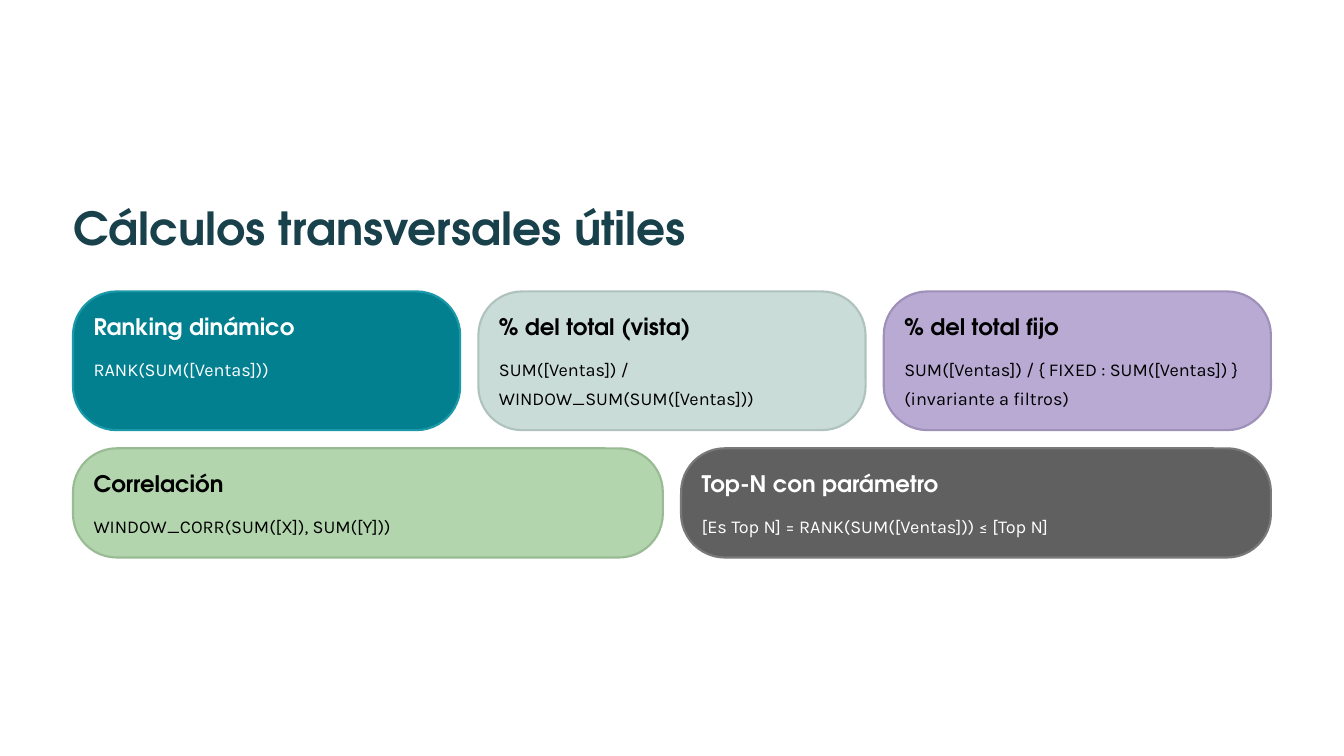
from dataclasses import dataclass

import pptx
import pptx.dml.color
import pptx.enum.shapes
import pptx.util

Pt = pptx.util.Pt


@dataclass(frozen=True)
class Theme:
    heading_font: str = "TeX Gyre Adventor"
    formula_font: str = "Karla"
    title_size: float = 39
    heading_size: float = 19.5
    formula_size: float = 15.5
    title: str = "19414B"
    light: str = "FFFFFF"
    dark: str = "000000"
    teal: tuple = ("028090", "1B99A9")
    mist: tuple = ("CADCD8", "B0C2BE")
    lilac: tuple = ("B9AAD4", "9F90BA")
    green: tuple = ("B2D5AD", "98BB93")
    gray: tuple = ("606060", "797979")


THEME = Theme()
LEFT, WIDTH, GAP = 62.6, 1026.8, 15.6
PADDING, FORMULA_TOP, RADIUS = 17.6, 51.1, 37.5

# Each row: top, height, cards as (heading, formula, (fill, line), ink)
ROWS = [
    (249.8, 118.9, [
        ("Ranking dinámico", "RANK(SUM([Ventas]))", THEME.teal, THEME.light),
        ("% del total (vista)", "SUM([Ventas]) / WINDOW_SUM(SUM([Ventas]))",
         THEME.mist, THEME.dark),
        ("% del total fijo",
         "SUM([Ventas]) / { FIXED : SUM([Ventas]) } (invariante a filtros)",
         THEME.lilac, THEME.dark),
    ]),
    (384.3, 93.6, [
        ("Correlación", "WINDOW_CORR(SUM([X]), SUM([Y]))", THEME.green, THEME.dark),
        ("Top-N con parámetro", "[Es Top N] = RANK(SUM([Ventas])) ≤ [Top N]",
         THEME.gray, THEME.light),
    ]),
]


def rgb(value):
    return pptx.dml.color.RGBColor.from_string(value)


def add_text(slide, box, text, font, size, color, leading, bold=False):
    frame = slide.shapes.add_textbox(*map(Pt, box)).text_frame
    frame.word_wrap = True
    frame.margin_left = frame.margin_top = frame.margin_right = frame.margin_bottom = 0
    paragraph = frame.paragraphs[0]
    paragraph.line_spacing = Pt(leading)
    run = paragraph.add_run()
    run.text = text
    run.font.name = font
    run.font.size = Pt(size)
    run.font.bold = bold
    run.font.color.rgb = rgb(color)


def add_card(slide, box, heading, formula, colors, ink):
    left, top, width, height = box
    panel = slide.shapes.add_shape(
        pptx.enum.shapes.MSO_SHAPE.ROUNDED_RECTANGLE, *map(Pt, box))
    panel.adjustments[0] = RADIUS / height
    panel.shadow.inherit = False
    fill, line = colors
    panel.fill.solid()
    panel.fill.fore_color.rgb = rgb(fill)
    panel.line.color.rgb = rgb(line)
    panel.line.width = Pt(1.8)

    inner_left, inner_width = left + PADDING, width - 2 * PADDING
    add_text(slide, (inner_left, top + PADDING, inner_width, 24.5), heading,
             THEME.heading_font, THEME.heading_size, ink, 24, bold=True)
    add_text(slide, (inner_left, top + FORMULA_TOP, inner_width,
                     height - FORMULA_TOP - PADDING), formula,
             THEME.formula_font, THEME.formula_size, ink, 25)


def add_card_row(slide, box, cards):
    """Share the width of the box equally among the cards."""
    left, top, width, height = box
    card_width = (width - GAP * (len(cards) - 1)) / len(cards)
    for column, card in enumerate(cards):
        card_left = left + column * (card_width + GAP)
        add_card(slide, (card_left, top, card_width, height), *card)


def main():
    deck = pptx.Presentation()
    deck.slide_width, deck.slide_height = Pt(1152), Pt(648)
    slide = deck.slides.add_slide(deck.slide_layouts[6])
    add_text(slide, (LEFT, 170, WIDTH, 49), "Cálculos transversales útiles",
             THEME.heading_font, THEME.title_size, THEME.title, 48.5, bold=True)
    for top, height, cards in ROWS:
        add_card_row(slide, (LEFT, top, WIDTH, height), cards)
    deck.save("out.pptx")


if __name__ == "__main__":
    main()
